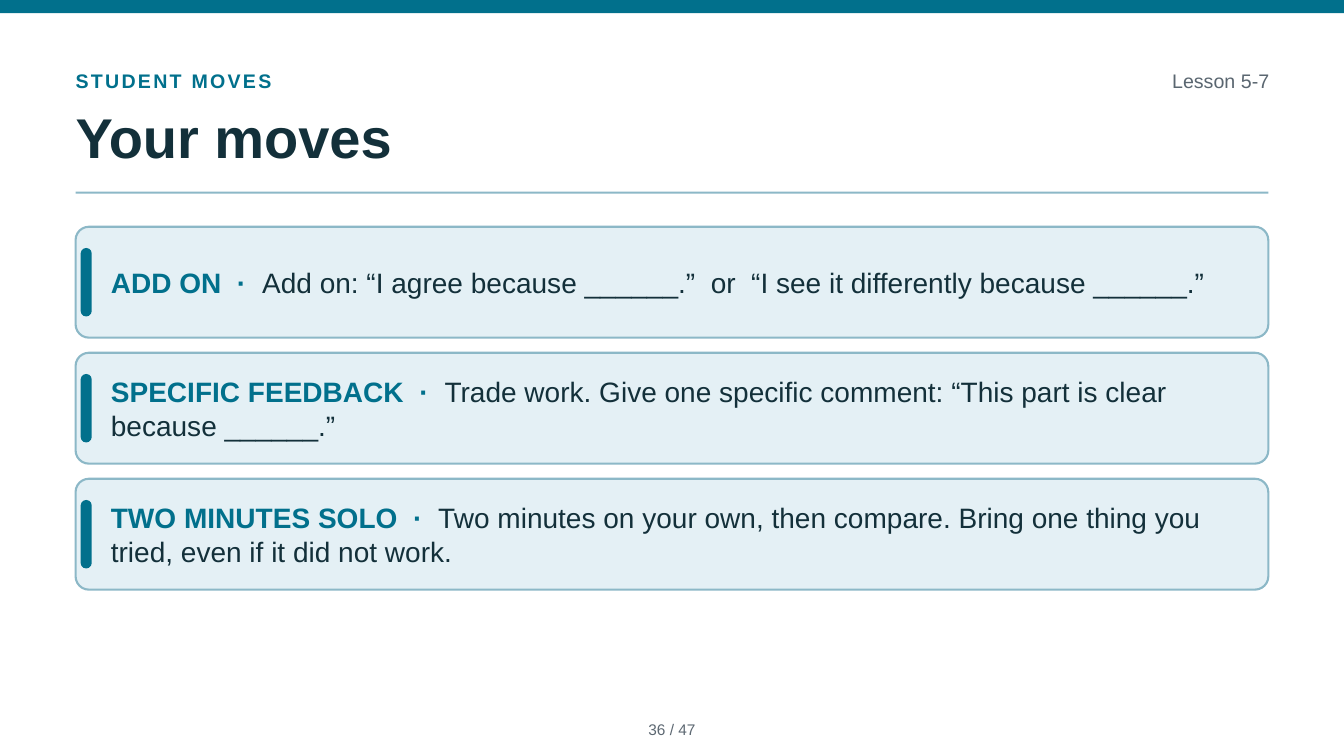
import pptx
import pptx.dml.color
import pptx.enum.shapes
import pptx.enum.text
import pptx.util
from dataclasses import dataclass

Inches = pptx.util.Inches
Kind = pptx.enum.shapes.MSO_SHAPE
Align = pptx.enum.text.PP_ALIGN


@dataclass(frozen=True)
class Theme:
    font: str = "Arial"
    teal: str = "01708C"
    ink: str = "13303A"
    gray: str = "5A6670"
    foot: str = "5D6872"
    edge: str = "8CB8C7"
    pale: str = "E4F0F5"
    head: int = 40
    body: int = 20
    label: int = 14
    small: int = 11


THEME = Theme()
LEFT, WIDE = 0.75, 11.83
TOP, TALL, STEP = 2.25, 1.1, 1.25

MOVES = [
    ("ADD ON", "Add on: “I agree because ______.”  or  “I see it differently because ______.”"),
    ("SPECIFIC FEEDBACK", "Trade work. Give one specific comment: “This part is clear because ______.”"),
    ("TWO MINUTES SOLO", "Two minutes on your own, then compare. Bring one thing you tried, "
                         "even if it did not work."),
]


def color(code):
    return pptx.dml.color.RGBColor.from_string(code)


def apply(item, values):
    for name, value in values.items():
        setattr(item, name, value)


def place(at):
    return [Inches(n) for n in at]


def write(shape, runs, align=Align.LEFT):
    """Fill a text shape with runs of (text, size, color, bold)."""
    frame = shape.text_frame
    apply(frame, {
        "margin_left": 0, "margin_right": 0, "margin_top": 0, "margin_bottom": 0,
        "word_wrap": True,
        "auto_size": pptx.enum.text.MSO_AUTO_SIZE.NONE,
        "vertical_anchor": pptx.enum.text.MSO_ANCHOR.MIDDLE,
    })
    para = frame.paragraphs[0]
    para.alignment = align
    for text, size, code, bold in runs:
        run = para.add_run()
        run.text = text
        apply(run.font, {"name": THEME.font, "size": pptx.util.Pt(size), "bold": bold})
        run.font.color.rgb = color(code)
    return para


def add_text(slide, at, runs, align=Align.LEFT):
    return write(slide.shapes.add_textbox(*place(at)), runs, align)


def add_title(slide, at, text):
    title = slide.shapes.title
    apply(title, dict(zip(("left", "top", "width", "height"), place(at))))
    write(title, [(text, THEME.head, THEME.ink, True)])


def add_block(slide, at, fill, kind=Kind.RECTANGLE, bend=None, edge=None):
    shape = slide.shapes.add_shape(kind, *place(at))
    shape.shadow.inherit = False
    shape.fill.solid()
    shape.fill.fore_color.rgb = color(fill)
    if bend is not None:
        shape.adjustments[0] = bend
    if edge:
        shape.line.color.rgb = color(edge)
        shape.line.width = pptx.util.Pt(1.5)
    else:
        shape.line.fill.background()


def add_card(slide, top, name, text):
    round_box = Kind.ROUNDED_RECTANGLE
    add_block(slide, (LEFT, top, WIDE, TALL), THEME.pale, round_box, 0.12, THEME.edge)
    add_block(slide, (LEFT + 0.05, top + 0.21, 0.11, 0.68), THEME.teal, round_box, 0.5)
    add_text(slide, (LEFT + 0.35, top, WIDE - 0.6, TALL), [
        (f"{name}  ·  ", THEME.body, THEME.teal, True),
        (text, THEME.body, THEME.ink, False),
    ])


def main():
    deck = pptx.Presentation()
    apply(deck, {"slide_width": Inches(13.33), "slide_height": Inches(7.5)})
    slide = deck.slides.add_slide(deck.slide_layouts[5])

    # Header
    add_block(slide, (0, 0, 13.33, 0.13), THEME.teal)
    label = add_text(slide, (LEFT, 0.65, 5.92, 0.3),
                     [("STUDENT MOVES", THEME.label, THEME.teal, True)])
    label.runs[0].font._element.set("spc", "160")
    add_text(slide, (6.67, 0.65, 5.92, 0.3),
             [("Lesson 5-7", THEME.label, THEME.gray, False)], Align.RIGHT)
    add_title(slide, (LEFT, 0.95, WIDE, 0.8), "Your moves")
    add_block(slide, (LEFT, 1.9, WIDE, 0.02), THEME.edge)

    # Cards
    for index, (name, text) in enumerate(MOVES):
        add_card(slide, TOP + index * STEP, name, text)

    # Page count
    add_text(slide, (6.1, 7.1, 1.13, 0.28),
             [("36 / 47", THEME.small, THEME.foot, False)], Align.CENTER)

    deck.save("out.pptx")


if __name__ == "__main__":
    main()
